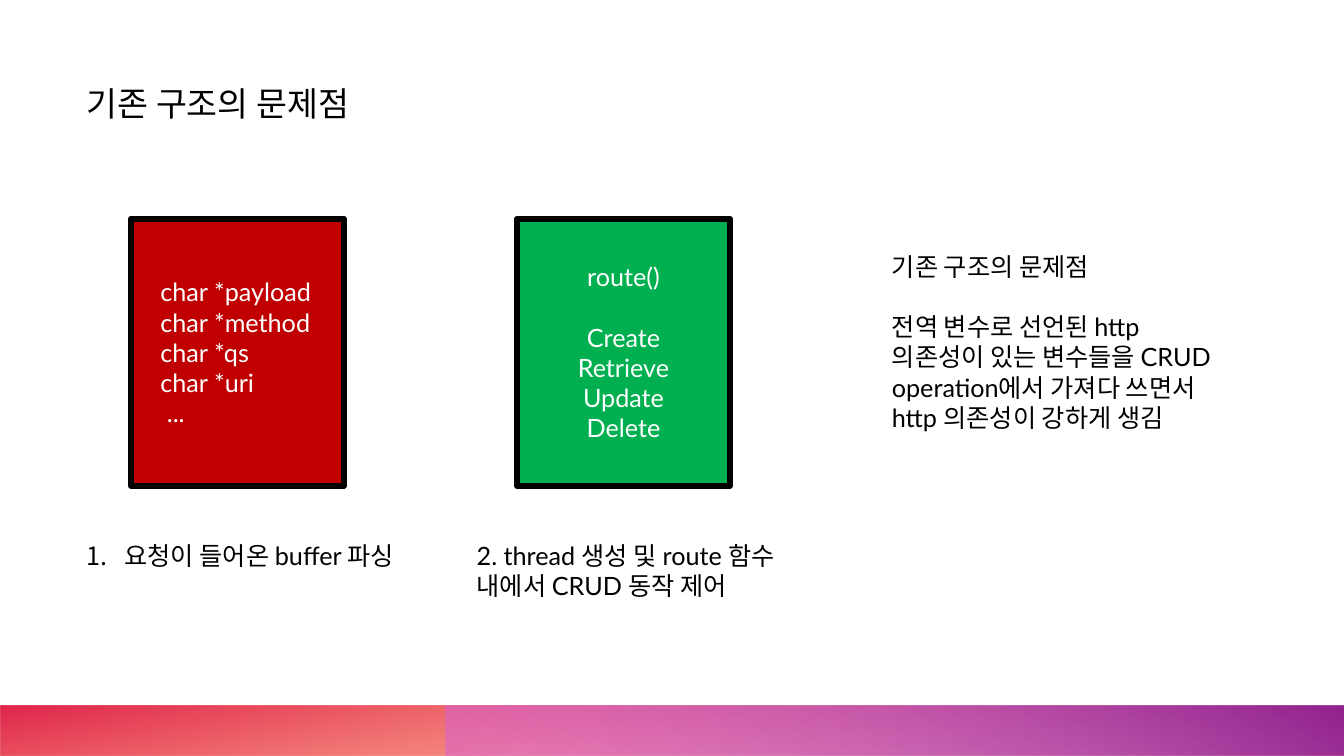
"""Build the slide on the problems of the existing structure."""
from dataclasses import dataclass

from lxml import etree
from pptx import Presentation
from pptx.dml.color import RGBColor
from pptx.enum.shapes import MSO_SHAPE
from pptx.enum.text import MSO_ANCHOR, MSO_AUTO_SIZE, PP_ALIGN
from pptx.oxml.ns import qn
from pptx.shapes.autoshape import Shape
from pptx.slide import Slide
from pptx.util import Pt

RECTANGLE = MSO_SHAPE.RECTANGLE
LEFT, CENTER = PP_ALIGN.LEFT, PP_ALIGN.CENTER
TOP, MIDDLE = MSO_ANCHOR.TOP, MSO_ANCHOR.MIDDLE
NO_AUTOFIT = MSO_AUTO_SIZE.NONE

SLIDE_WIDTH, SLIDE_HEIGHT = 960, 540
BAND_HEIGHT = 36
PANEL_TOP, PANEL_WIDTH, PANEL_HEIGHT = 156.2, 152, 190.8
MARGIN, CAPTION_TOP = 54.7, 382.3
FONT, BODY_SIZE, LINE_HEIGHT = "Lato", 18, 21.6
LIST_INDENT = 27
BLACK, WHITE = "000000", "FFFFFF"


@dataclass(frozen=True)
class Stop:
    position: float
    color: str
    opacity: int


@dataclass(frozen=True)
class Band:
    left: float
    rotation: float
    angle: float
    stops: tuple[Stop, Stop]


@dataclass(frozen=True)
class Panel:
    left: float
    color: str
    lines: tuple[str, ...]
    alignment: PP_ALIGN
    inset: float = 7.2
    heading_gap: float = 0


@dataclass(frozen=True)
class TextBlock:
    left: float
    top: float
    width: float
    height: float
    lines: tuple[str, ...]
    size: float = BODY_SIZE
    heading_gap: float = 0


BANDS = (
    Band(0, 180, 100, (Stop(0.14, "FE4A00", 28), Stop(1, "DA002F", 85))),
    Band(318, 0, 240, (Stop(0.09, "D861D4", 55), Stop(0.99, "92248E", 100))),
)
PANELS = (
    Panel(93.6, "C00000",
          ("char *payload", "char *method", "char *qs", "char *uri", " ..."),
          LEFT, inset=21),
    Panel(369.4, "00B050",
          ("route()", "Create", "Retrieve", "Update", "Delete"),
          CENTER, heading_gap=LINE_HEIGHT),
)
TITLE = TextBlock(MARGIN, 55.4, 216, 36, ("기존 구조의 문제점",), size=24)
PARSING_STEP = TextBlock(MARGIN, CAPTION_TOP, 237, 51,
                         ("요청이 들어온 buffer 파싱",))
TEXT_BLOCKS = (
    TextBlock(333.4, CAPTION_TOP, 255, 72.7,
              ("2. thread 생성 및 route 함수 내에서 CRUD 동작 제어",)),
    TextBlock(630, 175.7, 255, 160,
              ("기존 구조의 문제점",
               "전역 변수로 선언된 http 의존성이 있는 변수들을 CRUD "
               "operation에서 가져다 쓰면서 http 의존성이 강하게 생김"),
              heading_gap=LINE_HEIGHT),
)


def rgb(color: str) -> RGBColor:
    return RGBColor.from_string(color)


def write_lines(shape: Shape, lines: tuple[str, ...], size: float, color: str,
                alignment: PP_ALIGN, anchor: MSO_ANCHOR,
                heading_gap: float) -> None:
    frame = shape.text_frame
    frame.text = "\n".join(lines)
    frame.word_wrap = True
    frame.auto_size = NO_AUTOFIT
    frame.vertical_anchor = anchor
    for index, paragraph in enumerate(frame.paragraphs):
        paragraph.alignment = alignment
        paragraph.space_before = Pt(heading_gap if index == 1 else 0)
        paragraph.font.name = FONT
        paragraph.font.size = Pt(size)
        paragraph.font.color.rgb = rgb(color)


def add_rectangle(slide: Slide, left: float, top: float, width: float,
                  height: float) -> Shape:
    shape = slide.shapes.add_shape(RECTANGLE, Pt(left), Pt(top), Pt(width), Pt(height))
    shape.shadow.inherit = False
    return shape


def add_band(slide: Slide, band: Band) -> None:
    shape = add_rectangle(slide, band.left, SLIDE_HEIGHT - BAND_HEIGHT,
                          SLIDE_WIDTH - band.left, BAND_HEIGHT)
    shape.rotation = band.rotation
    shape.element.spPr.find(qn("a:xfrm")).set("flipH", "1")
    shape.line.fill.background()
    shape.fill.gradient()
    shape.fill.gradient_angle = 360 - band.angle
    for gradient_stop, stop in zip(shape.fill.gradient_stops, band.stops):
        gradient_stop.position = stop.position
        gradient_stop.color.rgb = rgb(stop.color)
    for color, stop in zip(shape.element.spPr.iter(qn("a:srgbClr")), band.stops):
        etree.SubElement(color, qn("a:alpha"), val=str(stop.opacity * 1000))


def add_panel(slide: Slide, panel: Panel) -> None:
    shape = add_rectangle(slide, panel.left, PANEL_TOP, PANEL_WIDTH, PANEL_HEIGHT)
    shape.fill.solid()
    shape.fill.fore_color.rgb = rgb(panel.color)
    shape.line.color.rgb = rgb(BLACK)
    shape.line.width = Pt(4.5)
    write_lines(shape, panel.lines, BODY_SIZE, WHITE, panel.alignment, MIDDLE,
                panel.heading_gap)
    shape.text_frame.margin_left = Pt(panel.inset)


def place_text(shape: Shape, block: TextBlock) -> None:
    shape.left, shape.top = Pt(block.left), Pt(block.top)
    shape.width, shape.height = Pt(block.width), Pt(block.height)
    write_lines(shape, block.lines, block.size, BLACK, LEFT, TOP, block.heading_gap)


def number_paragraphs(shape: Shape) -> None:
    for properties in shape.element.iter(qn("a:pPr")):
        properties.set("marL", str(Pt(LIST_INDENT)))
        properties.set("indent", str(-Pt(LIST_INDENT)))
        numbering = etree.Element(qn("a:buAutoNum"), type="arabicPeriod")
        properties.find(qn("a:defRPr")).addprevious(numbering)


def main() -> None:
    presentation = Presentation()
    presentation.slide_width = Pt(SLIDE_WIDTH)
    presentation.slide_height = Pt(SLIDE_HEIGHT)
    slide = presentation.slides.add_slide(presentation.slide_layouts[1])
    for band in BANDS:
        add_band(slide, band)
    place_text(slide.shapes.title, TITLE)
    parsing_list = slide.placeholders[1]
    place_text(parsing_list, PARSING_STEP)
    number_paragraphs(parsing_list)
    for panel in PANELS:
        add_panel(slide, panel)
    for block in TEXT_BLOCKS:
        place_text(slide.shapes.add_textbox(0, 0, 0, 0), block)
    presentation.save("out.pptx")


if __name__ == "__main__":
    main()
